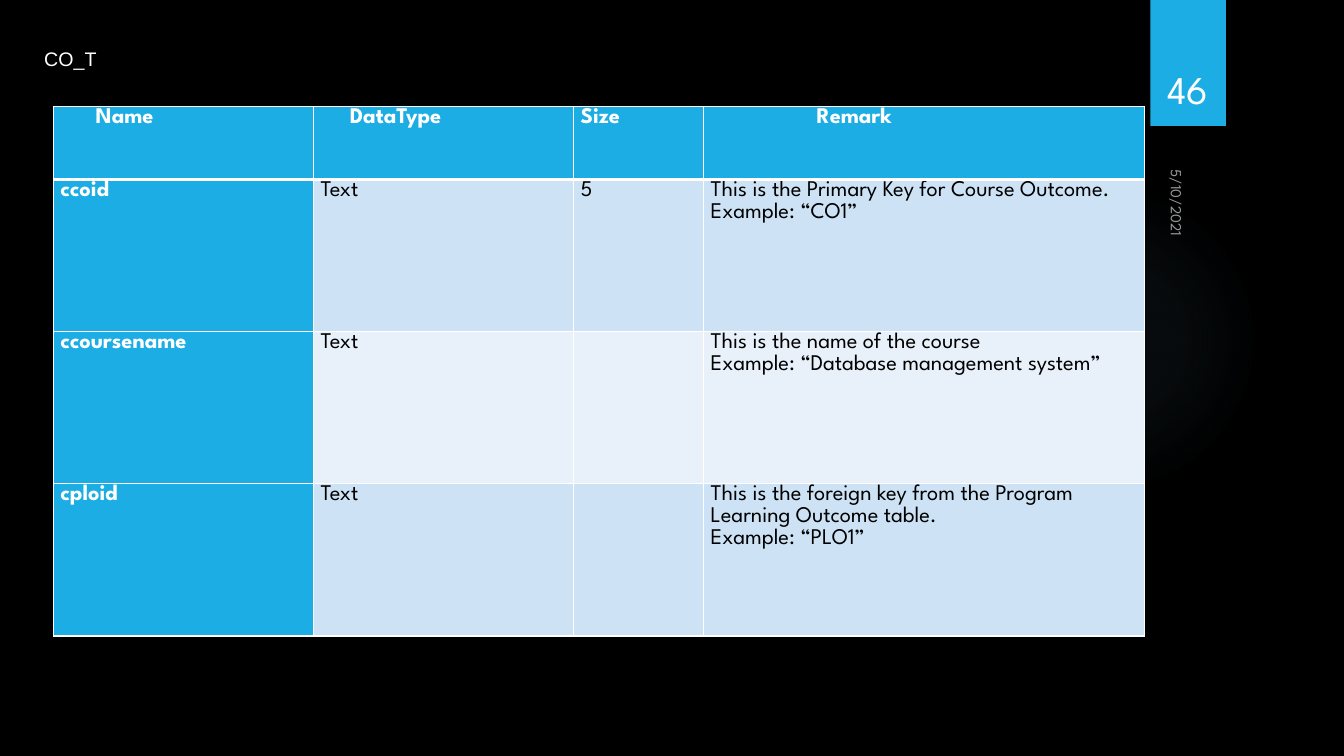
"""Build the CO_T data dictionary slide."""
import dataclasses

import lxml.etree
import pptx
import pptx.dml.color
import pptx.enum.shapes
import pptx.enum.text
import pptx.oxml
import pptx.oxml.ns
import pptx.util

Inches = pptx.util.Inches
SHAPES = pptx.enum.shapes.MSO_SHAPE
ANCHOR = pptx.enum.text.MSO_ANCHOR
ALIGN = pptx.enum.text.PP_ALIGN


@dataclasses.dataclass(frozen=True)
class Theme:
    """Colours, fonts and type sizes."""
    background: str = "000000"
    accent: str = "1CADE4"
    glow: str = "70A1C0"
    light: str = "FFFFFF"
    dark: str = "000000"
    bands: tuple = ("CDE3F5", "E8F1FA")
    body_font: str = "League Spartan"
    title_font: str = "Arial"
    table_size: int = 16
    title_size: int = 14
    date_size: int = 11
    number_size: int = 28


def rgb(colour):
    """Turn a hex string into a colour."""
    return pptx.dml.color.RGBColor.from_string(colour)


def apply(target, values):
    """Set each named attribute on the target."""
    for name, value in values.items():
        setattr(target, name, value)


def drawing_xml(body):
    """Parse a fragment in the drawing namespace."""
    return pptx.oxml.parse_xml(body.replace(">", f" {pptx.oxml.ns.nsdecls('a')}>", 1))


class SlideBuilder:
    """Draws styled elements on one slide."""

    def __init__(self, deck, theme):
        """Add a blank slide with the theme background."""
        self.theme = theme
        self.slide = deck.slides.add_slide(deck.slide_layouts[6])
        fill = self.slide.background.fill
        fill.solid()
        fill.fore_color.rgb = rgb(theme.background)

    def style_run(self, run, size, colour, font=None, bold=False):
        """Format one run of text."""
        apply(run.font, {"size": pptx.util.Pt(size), "bold": bold,
                         "name": font or self.theme.body_font})
        run.font.color.rgb = rgb(colour)

    def shape(self, kind, box, colour):
        """Add a filled shape without outline or shadow."""
        shape = self.slide.shapes.add_shape(kind, *map(Inches, box))
        shape.shadow.inherit = False
        shape.fill.solid()
        shape.fill.fore_color.rgb = rgb(colour)
        shape.line.fill.background()
        return shape

    def glow(self, box, stops):
        """Add an ellipse with a translucent radial gradient."""
        properties = self.shape(SHAPES.OVAL, box, self.theme.glow)._element.spPr
        marks = "".join(
            f'<a:gs pos="{place * 1000}"><a:srgbClr val="{self.theme.glow}">'
            f'<a:alpha val="{alpha * 1000}"/></a:srgbClr></a:gs>'
            for place, alpha in stops)
        gradient = drawing_xml(
            f'<a:gradFill><a:gsLst>{marks}</a:gsLst><a:path path="circle">'
            '<a:fillToRect l="50000" t="50000" r="50000" b="50000"/></a:path></a:gradFill>')
        properties.replace(properties.find(pptx.oxml.ns.qn("a:solidFill")), gradient)

    def tab(self, box):
        """Add the accent tab with its soft shadow."""
        properties = self.shape(SHAPES.RECTANGLE, box, self.theme.accent)._element.spPr
        properties.find(pptx.oxml.ns.qn("a:effectLst")).append(drawing_xml(
            '<a:outerShdw blurRad="38100" dist="25400" dir="5400000" rotWithShape="0">'
            '<a:srgbClr val="000000"><a:alpha val="45000"/></a:srgbClr></a:outerShdw>'))

    def text(self, words, box, size, font=None, align=ALIGN.LEFT, rotation=0, alpha=None, **frame):
        """Add a one-line text box."""
        label = self.slide.shapes.add_textbox(*map(Inches, box))
        label.rotation = rotation
        apply(label.text_frame, {"word_wrap": True, **frame})
        paragraph = label.text_frame.paragraphs[0]
        paragraph.alignment = align
        run = paragraph.add_run()
        run.text = words
        self.style_run(run, size, self.theme.light, font)
        if alpha is not None:
            colour = run._r.rPr.find(f".//{pptx.oxml.ns.qn('a:srgbClr')}")
            lxml.etree.SubElement(colour, pptx.oxml.ns.qn("a:alpha"), val=str(alpha * 1000))

    def borders(self, cell, heading):
        """Draw white cell borders, thicker where the heading ends."""
        properties = cell._tc.get_or_add_tcPr()
        for side in "LRTB":
            width = pptx.util.Pt(3 if heading and side == "B" else 1)
            properties.append(drawing_xml(
                f'<a:ln{side} w="{width}"><a:solidFill><a:srgbClr val="{self.theme.light}"/>'
                f'</a:solidFill></a:ln{side}>'))

    def cell(self, cell, paragraphs, fill, colour, bold, heading, indent):
        """Fill and format one table cell."""
        apply(cell, {"margin_left": Inches(0.07 + indent), "margin_right": Inches(0.07),
                     "margin_top": 0, "margin_bottom": 0})
        self.borders(cell, heading)
        cell.fill.solid()
        cell.fill.fore_color.rgb = rgb(fill)
        cell.text_frame.text = "\n" * (len(paragraphs) - 1)
        for paragraph, words in zip(cell.text_frame.paragraphs, paragraphs):
            paragraph.text = words
            paragraph.line_spacing = 1.07
            for run in paragraph.runs:
                self.style_run(run, self.theme.table_size, colour, bold=bold)

    def table(self, box, widths, heights, rows, indents):
        """Add the table with accent heading row and name column."""
        table = self.slide.shapes.add_table(len(rows), len(widths), *map(Inches, box)).table
        for column, width in zip(table.columns, widths):
            column.width = Inches(width)
        for number, (row, height, entries) in enumerate(zip(table.rows, heights, rows)):
            row.height = Inches(height)
            heading = number == 0
            for place, (cell, entry) in enumerate(zip(row.cells, entries)):
                strong = heading or place == 0
                fill = self.theme.accent if strong else self.theme.bands[(number - 1) % 2]
                colour = self.theme.light if strong else self.theme.dark
                self.cell(cell, entry, fill, colour, strong, heading,
                          indents[place] if heading else 0)


def main():
    """Build and save the deck."""
    deck = pptx.Presentation()
    apply(deck, {"slide_width": Inches(13.33), "slide_height": Inches(7.5)})
    theme = Theme()
    page = SlideBuilder(deck, theme)
    page.glow((9.41, 1.83, 3.08, 3.08), ((0, 7), (36, 6), (69, 0)))
    page.tab((11.41, 0, 0.75, 1.25))
    fields = (
        (["Name"], ["DataType"], ["Size"], ["Remark"]),
        (["ccoid"], ["Text"], ["5"],
         ["This is the Primary Key for Course Outcome.", "Example: “CO1”"]),
        (["ccoursename"], ["Text"], [""],
         ["This is the name of the course\nExample: “Database management system”"]),
        (["cploid"], ["Text"], [""],
         ["This is the foreign key from the Program\nLearning Outcome table.\nExample: “PLO1”"]),
    )
    page.table((0.53, 1.06, 10.82, 5.25), (2.58, 2.58, 1.29, 4.37),
               (0.72, 1.51, 1.51, 1.51), fields, (0.35, 0.29, 0, 1.05))
    page.text("CO_T", (0.34, 0.41, 0.72, 0.34), theme.title_size, theme.title_font,
              word_wrap=False, vertical_anchor=ANCHOR.MIDDLE)
    page.text("5/10/2021", (11.11, 1.96, 1.08, 0.33), theme.date_size, rotation=90, alpha=60)
    page.text("46", (11.32, 0.32, 0.92, 0.84), theme.number_size, align=ALIGN.CENTER,
              vertical_anchor=ANCHOR.BOTTOM)
    deck.save("out.pptx")


if __name__ == "__main__":
    main()
